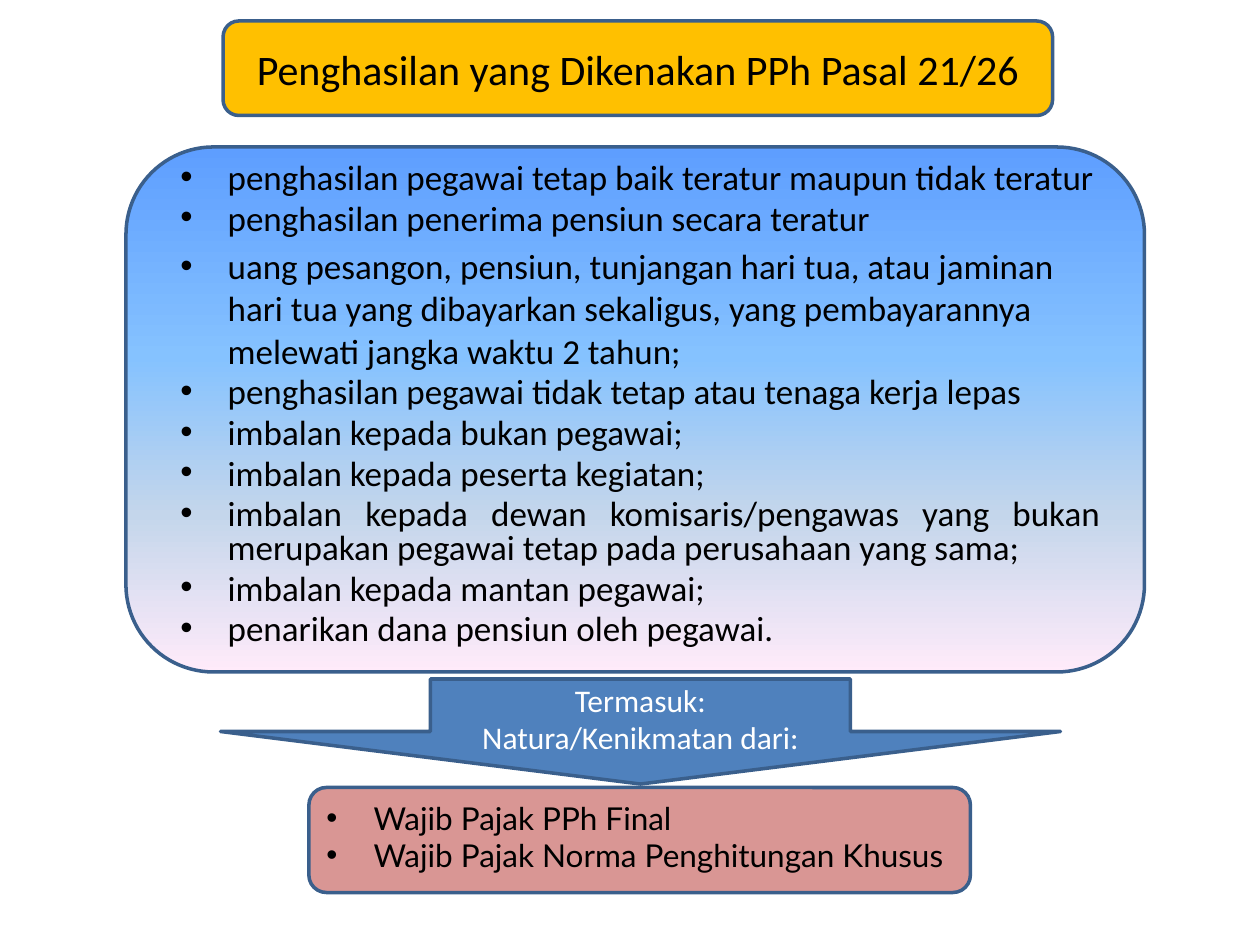
from pptx import Presentation
from pptx.dml.color import RGBColor
from pptx.enum.shapes import MSO_SHAPE as Preset
from pptx.enum.text import MSO_ANCHOR as Anchor, PP_ALIGN as Align
from pptx.oxml import parse_xml
from pptx.oxml.ns import nsdecls, qn
from pptx.util import Pt
from lxml.etree import SubElement

COLORS = {
    "black": "000000", "white": "FFFFFF", "outline": "3A5F8C",
    "gold": "FFC000", "rose": "D99694", "blue": "4F81BD",
}
SKY_STOPS = [(0, "5E9EFF"), (40, "85C2FF"), (70, "C4D6EB"), (100, "FFEBFA")]
INDENT = 27
TITLE = "Penghasilan yang Dikenakan PPh Pasal 21/26"
INCOME_TYPES = [
    "penghasilan pegawai tetap baik teratur maupun tidak teratur",
    "penghasilan penerima pensiun secara teratur",
    "uang pesangon, pensiun, tunjangan hari tua, atau jaminan hari tua yang "
    "dibayarkan sekaligus, yang pembayarannya melewati jangka waktu 2 tahun;",
    "penghasilan pegawai tidak tetap atau tenaga kerja lepas",
    "imbalan kepada bukan pegawai;",
    "imbalan kepada peserta kegiatan;",
    "imbalan kepada dewan komisaris/pengawas yang bukan merupakan pegawai "
    "tetap pada perusahaan yang sama;",
    "imbalan kepada mantan pegawai;",
    "penarikan dana pensiun oleh pegawai.",
]
LUMP_SUM = 2
PAYERS = ["Wajib Pajak PPh Final", "Wajib Pajak Norma Penghitungan Khusus"]
BULLET_FORMAT = {"alignment": Align.LEFT, "line_spacing": 0.8}


class SlideBuilder:
    """Holds the style and the current slide, and adds elements in points."""

    def __init__(self, presentation):
        self.slide = presentation.slides.add_slide(presentation.slide_layouts[5])

    def color(self, name):
        return RGBColor.from_string(COLORS[name])

    def panel(self, preset, box, fill=None):
        shape = self.slide.shapes.add_shape(preset, *map(Pt, box))
        shape.shadow.inherit = False
        if fill:
            shape.fill.solid()
            shape.fill.fore_color.rgb = self.color(fill)
        shape.line.color.rgb = self.color("outline")
        shape.line.width = Pt(2)
        return shape

    def gradient(self, shape, stops):
        shape.fill.gradient()
        gradient = shape._element.spPr.find(qn("a:gradFill"))
        marks = "".join(
            f'<a:gs pos="{position * 1000}"><a:srgbClr val="{color}"/></a:gs>'
            for position, color in stops
        )
        gradient.getparent().replace(gradient, parse_xml(
            f'<a:gradFill {nsdecls("a")} rotWithShape="1"><a:gsLst>{marks}</a:gsLst>'
            '<a:lin ang="5400000" scaled="0"/></a:gradFill>'
        ))

    def title(self, text, box, plate):
        title = self.slide.shapes.title
        title._element.addprevious(plate._element)
        title.left, title.top, title.width, title.height = map(Pt, box)
        self.text(title, [text], 24)

    def text_box(self, box):
        return self.slide.shapes.add_textbox(*map(Pt, box))

    def bullet(self, paragraph):
        properties = paragraph._p.get_or_add_pPr()
        properties.set("marL", str(Pt(INDENT)))
        properties.set("indent", str(-Pt(INDENT)))
        SubElement(properties, qn("a:buFont")).set("typeface", "Arial")
        SubElement(properties, qn("a:buChar")).set("char", "•")

    def text(self, shape, texts, size, color="black", font="Calibri",
             anchor=Anchor.MIDDLE, bullets=False, formats=None):
        frame = shape.text_frame
        frame.word_wrap = True
        frame.vertical_anchor = anchor
        for index, text in enumerate(texts):
            paragraph = frame.paragraphs[0] if index == 0 else frame.add_paragraph()
            if bullets:
                self.bullet(paragraph)
            values = formats[index] if formats else {"alignment": Align.CENTER}
            for name, value in values.items():
                setattr(paragraph, name, value)
            paragraph.space_before = Pt(size * 0.2 if bullets and index else 0)
            run = paragraph.add_run()
            run.text = text
            for name, value in {"name": font, "size": Pt(size)}.items():
                setattr(run.font, name, value)
            run.font.color.rgb = self.color(color)


def main():
    presentation = Presentation()
    presentation.slide_width, presentation.slide_height = Pt(720), Pt(540)
    builder = SlideBuilder(presentation)

    title_box = (127.5, 12, 474, 54)
    plate = builder.panel(Preset.ROUNDED_RECTANGLE, title_box, "gold")
    builder.title(TITLE, title_box, plate)

    income_panel = builder.panel(Preset.ROUNDED_RECTANGLE, (72, 84, 582, 300))
    builder.gradient(income_panel, SKY_STOPS)
    formats = [BULLET_FORMAT | {"alignment": Align.JUSTIFY} for _ in INCOME_TYPES]
    formats[LUMP_SUM] = {"alignment": Align.LEFT, "line_spacing": 1.0}
    builder.text(builder.text_box((96, 90, 540, 286.5)), INCOME_TYPES, 20,
                 anchor=Anchor.TOP, bullets=True, formats=formats)

    payers = builder.panel(Preset.ROUNDED_RECTANGLE, (176.5, 450, 378, 60), "rose")
    builder.text(payers, PAYERS, 18, font="Lato", bullets=True,
                 formats=[BULLET_FORMAT] * len(PAYERS))

    arrow = builder.panel(Preset.DOWN_ARROW, (126, 388, 480, 60), "blue")
    builder.text(arrow, ["Termasuk:", "Natura/Kenikmatan dari:"], 18, "white")

    presentation.save("out.pptx")


if __name__ == "__main__":
    main()
